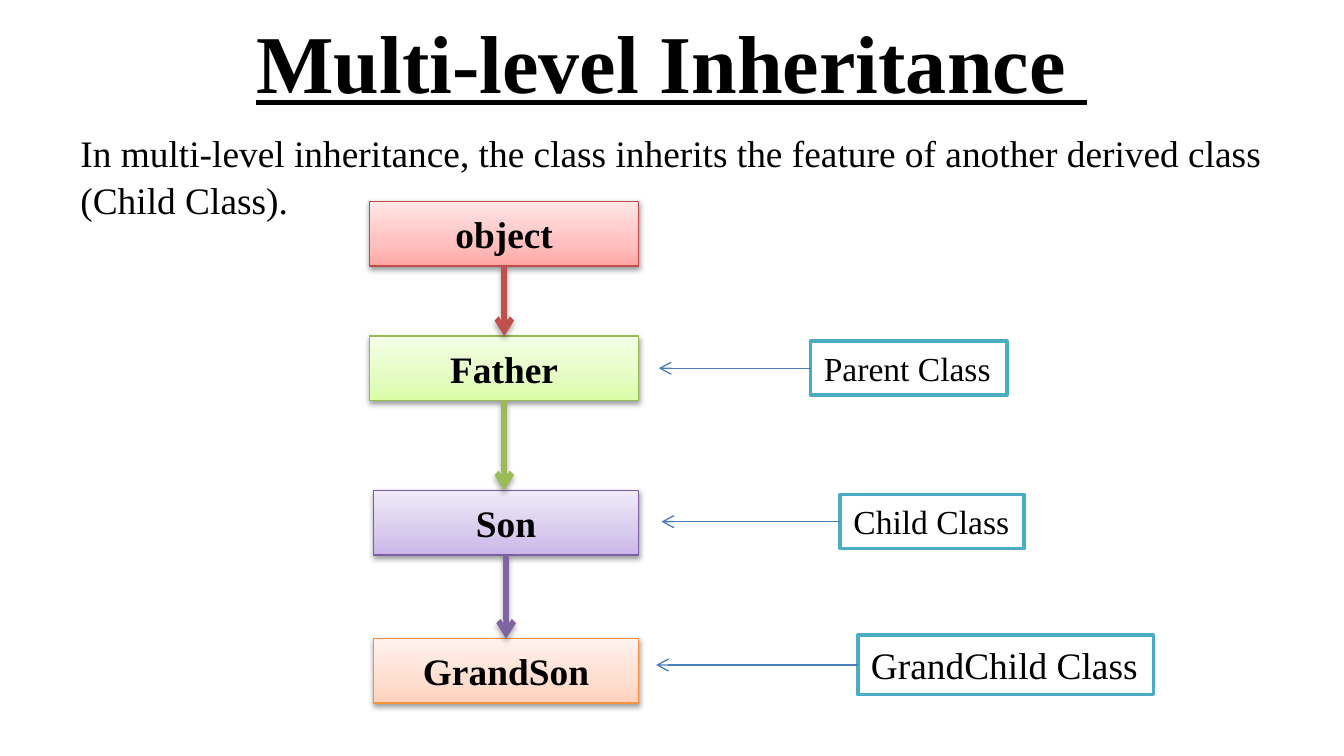
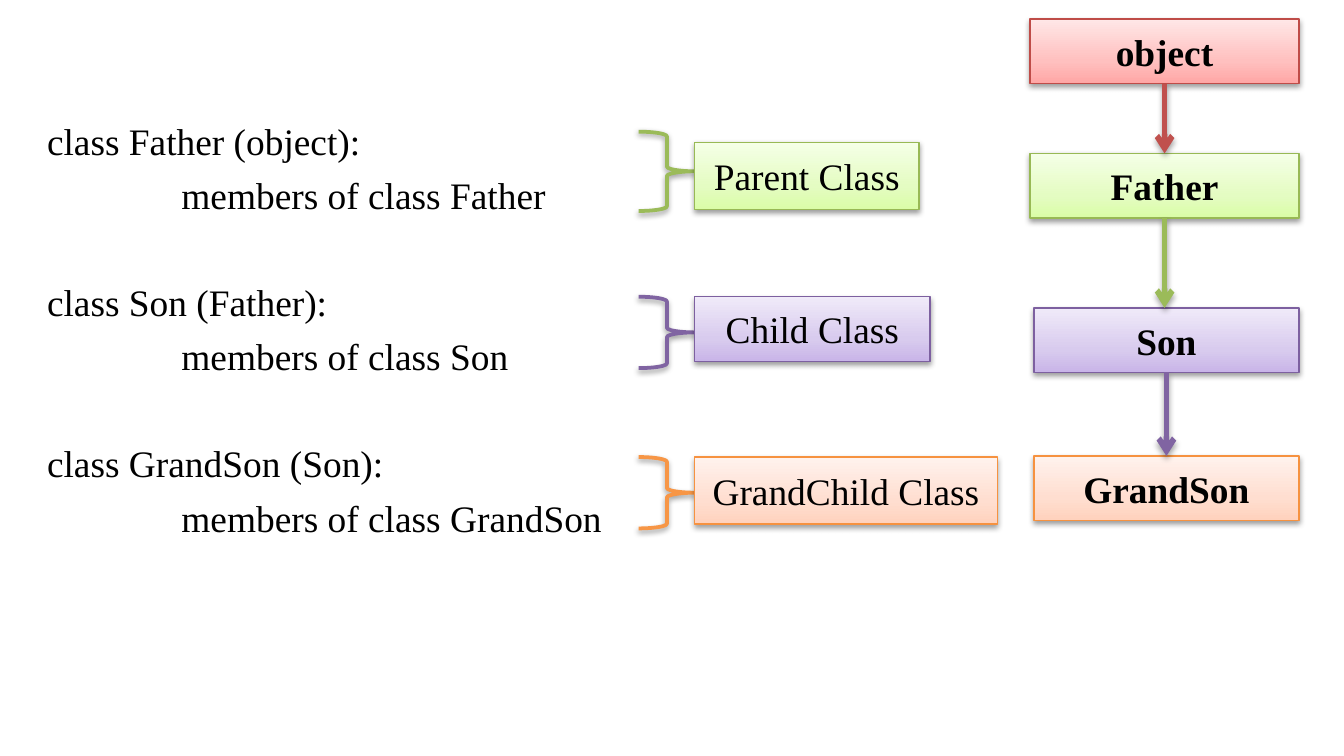
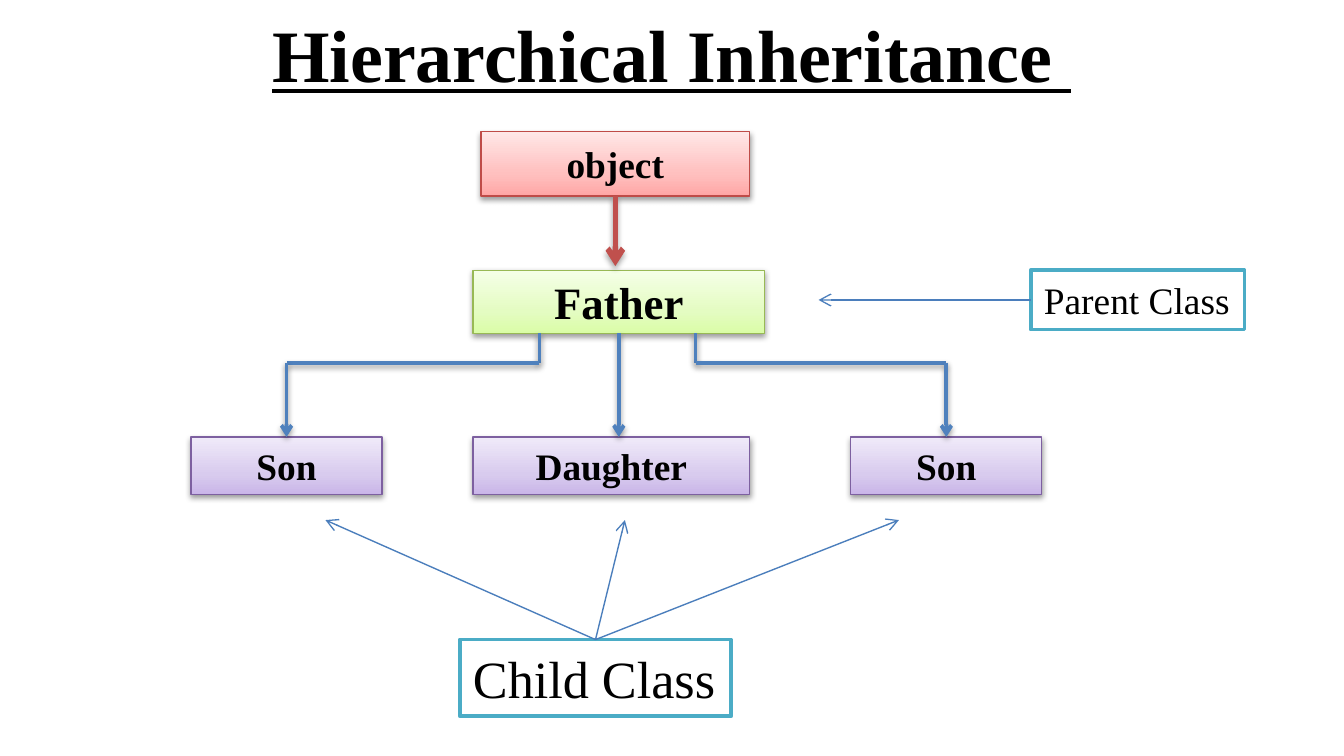
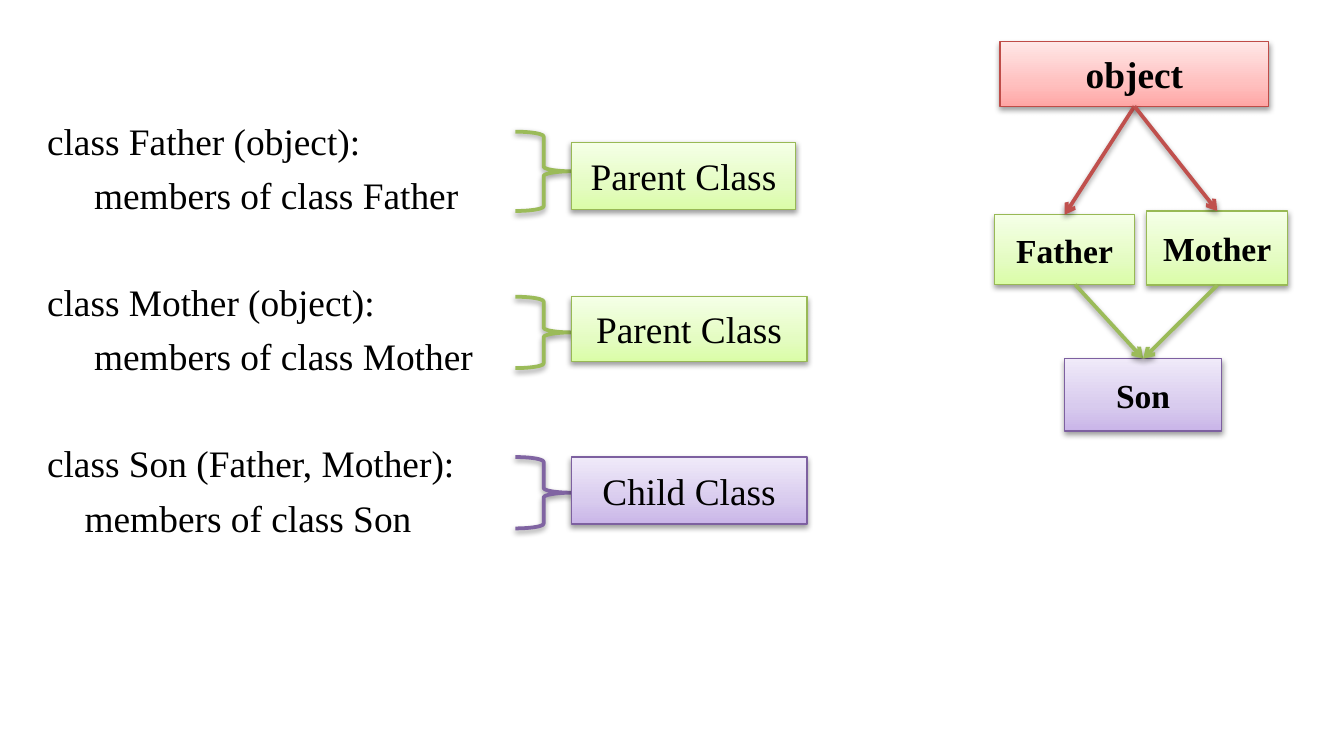
from copy import deepcopy
from dataclasses import dataclass
from typing import NamedTuple

from lxml import etree
from pptx import Presentation
from pptx.dml.color import RGBColor
from pptx.enum.shapes import MSO_CONNECTOR, MSO_SHAPE
from pptx.enum.text import MSO_ANCHOR, MSO_AUTO_SIZE, PP_ALIGN
from pptx.oxml.ns import qn
from pptx.util import Cm, Pt

STRAIGHT = MSO_CONNECTOR.STRAIGHT
RECTANGLE, RIGHT_BRACE = MSO_SHAPE.RECTANGLE, MSO_SHAPE.RIGHT_BRACE
TOP, MIDDLE = MSO_ANCHOR.TOP, MSO_ANCHOR.MIDDLE
NO_FIT, GROW = MSO_AUTO_SIZE.NONE, MSO_AUTO_SIZE.SHAPE_TO_FIT_TEXT
LEFT, CENTER = PP_ALIGN.LEFT, PP_ALIGN.CENTER
TITLE_ONLY, BLANK = 5, 6


class Tone(NamedTuple):
    gradient: tuple
    edge: str
    line: str


@dataclass(frozen=True)
class Theme:
    font: str = "Times New Roman"
    ink: str = "000000"
    paper: str = "FFFFFF"
    callout_edge: str = "4BACC6"
    pointer: str = "4B7EBC"
    branch: str = "4F81BD"
    red: Tone = Tone(("FFA6A5", "FFC0BF", "FFE7E7"), "BF4C48", "C0504D")
    green: Tone = Tone(("DAFDA7", "E4FCC2", "F5FFE7"), "98B955", "9BBB59")
    purple: Tone = Tone(("C9B5E8", "D8CBEE", "F0EAF9"), "7D60A0", "8064A2")
    orange: Tone = Tone(("FFD2BD", "FFDED0", "FFF2ED"), "F69240", "F79646")
    gradient_stops: tuple = (0, 0.35, 1)
    body: float = 20
    small: float = 18
    thin: float = 0.75
    medium: float = 2
    thick: float = 3


THEME = Theme()


class Box(NamedTuple):
    """A rectangle in centimetres."""
    left: float
    top: float
    width: float
    height: float

    @property
    def center(self):
        return self.left + self.width / 2

    @property
    def middle(self):
        return self.top + self.height / 2

    @property
    def bottom(self):
        return self.top + self.height

    @property
    def lengths(self):
        return [Cm(value) for value in self]

    def inner(self, left, top, width, height):
        """Box placed relative to this one's top left corner."""
        return Box(self.left + left, self.top + top, width, height)


def rgb(color):
    return RGBColor.from_string(color)


def style(paragraph, size=THEME.body, bold=False, align=LEFT):
    paragraph.alignment = align
    font = paragraph.font
    font.name, font.size, font.bold = THEME.font, Pt(size), bold
    font.color.rgb = rgb(THEME.ink)


def set_line(line, color, width):
    line.color.rgb = rgb(color)
    line.width = Pt(width)


def add_shadow(item, alpha=38, distance=1.6):
    effects = item._element.spPr.get_or_add_effectLst()
    shadow = etree.SubElement(
        effects, qn("a:outerShdw"), blurRad=str(Pt(3.1)),
        dist=str(Pt(distance)), dir="5400000", rotWithShape="0")
    black = etree.SubElement(shadow, qn("a:srgbClr"), val=THEME.ink)
    etree.SubElement(black, qn("a:alpha"), val=str(alpha * 1000))


def fill_gradient(shape, colors):
    shape.fill.gradient()
    shape.fill.gradient_angle = 90
    stop_list = shape._element.spPr.find(".//" + qn("a:gsLst"))
    stop_list.append(deepcopy(stop_list[-1]))
    stops = zip(shape.fill.gradient_stops, THEME.gradient_stops, colors)
    for stop, position, color in stops:
        stop.position = position
        stop.color.rgb = rgb(color)


def add_node(slide, box, text, tone, size=THEME.body, bold=True):
    node = slide.shapes.add_shape(RECTANGLE, *box.lengths)
    node.shadow.inherit = False
    fill_gradient(node, tone.gradient)
    set_line(node.line, tone.edge, THEME.thin)
    add_shadow(node)
    frame = node.text_frame
    frame.text = text
    frame.word_wrap = True
    frame.vertical_anchor = MIDDLE
    style(frame.paragraphs[0], size, bold, CENTER)


def add_route(slide, points, color, width):
    """Straight segments through the points, with an arrowhead at the last."""
    for start, end in zip(points, points[1:]):
        segment = slide.shapes.add_connector(
            STRAIGHT, *[Cm(value) for value in (*start, *end)])
        set_line(segment.line, color, width)
        if width == THEME.thin:
            segment._element.spPr.get_or_add_effectLst()
        elif width == THEME.thick:
            add_shadow(segment, 35, 1.8)
        else:
            add_shadow(segment)
    etree.SubElement(segment.get_or_add_ln(), qn("a:tailEnd"), type="arrow")


def add_callout(slide, box, text, size, start, targets):
    """Outlined label with a thin arrow from start to each target."""
    label = slide.shapes.add_shape(RECTANGLE, *box.lengths)
    label.shadow.inherit = False
    label.fill.solid()
    label.fill.fore_color.rgb = rgb(THEME.paper)
    set_line(label.line, THEME.callout_edge, THEME.medium)
    frame = label.text_frame
    frame.text = text
    frame.word_wrap = False
    frame.auto_size = GROW
    frame.vertical_anchor = TOP
    style(frame.paragraphs[0], size)
    for target in targets:
        add_route(slide, [start, target], THEME.pointer, THEME.thin)


def add_side_callout(slide, box, text, size, tip):
    add_callout(slide, box, text, size, (box.left, box.middle),
                [(tip, box.middle)])


def add_title_slide(deck, text, box, size):
    slide = deck.slides.add_slide(deck.slide_layouts[TITLE_ONLY])
    title = slide.shapes.title
    title.left, title.top, title.width, title.height = box.lengths
    frame = title.text_frame
    frame.text = text
    frame.auto_size = NO_FIT
    frame.vertical_anchor = MIDDLE
    style(frame.paragraphs[0], size, True, CENTER)
    frame.paragraphs[0].font.underline = True
    return slide


def add_lines(slide, box, lines):
    """Text of (words, indent in cm, space before in points) lines."""
    frame = slide.shapes.add_textbox(*box.lengths).text_frame
    frame.word_wrap = True
    for index, (words, indent, gap) in enumerate(lines):
        paragraph = frame.add_paragraph() if index else frame.paragraphs[0]
        paragraph.text = words
        paragraph.line_spacing = 1.05
        paragraph.space_before = Pt(gap)
        paragraph._p.get_or_add_pPr().set("marL", str(Cm(indent)))
        style(paragraph)


def add_family_chain(slide, area):
    levels = [
        ("object", THEME.red, 0, 0),
        ("Father", THEME.green, 2.54, 0),
        ("Son", THEME.purple, 5.46, 0.07),
        ("GrandSon", THEME.orange, 8.26, 0.07),
    ]
    boxes = [area.inner(inset, top, area.width - inset, 1.22)
             for _, _, top, inset in levels]
    for (name, tone, _, _), box in zip(levels, boxes):
        add_node(slide, box, name, tone)
    for (_, tone, _, _), upper, lower in zip(levels, boxes, boxes[1:]):
        add_route(slide, [(upper.center, upper.bottom),
                          (upper.center, lower.top)], tone.line, THEME.thick)


def add_family_diamond(slide, area):
    root = area.inner(0.1, 0, 5.08, 1.22)
    father = area.inner(0, 3.27, 2.64, 1.32)
    mother = area.inner(2.87, 3.2, 2.67, 1.4)
    son = area.inner(1.32, 5.99, 2.97, 1.37)
    add_node(slide, root, "object", THEME.red)
    add_node(slide, father, "Father", THEME.green, THEME.small)
    add_node(slide, mother, "Mother", THEME.green, THEME.small)
    add_node(slide, son, "Son", THEME.purple, THEME.small)
    for parent, exit_shift in ((father, 0.2), (mother, 0)):
        add_route(slide, [(root.center, root.bottom),
                          (parent.center, parent.top)],
                  THEME.red.line, THEME.medium)
        add_route(slide, [(parent.center + exit_shift, parent.bottom),
                          (son.center, son.top)],
                  THEME.green.line, THEME.medium)


def add_class_listing(slide, area, brace_left, classes):
    """Class outlines, each with a brace and a label of its role."""
    lines = []
    for index, (header, members, indent, *_) in enumerate(classes):
        lines += [(header, 0, 32 if index else 0), (members, indent, 4)]
    add_lines(slide, area, lines)

    rows = [(0.43, 1.5, 0.63, 1.27),
            (3.55, 1.35, 3.55, 1.22),
            (6.58, 1.35, 6.58, 1.27)]
    for row, (_, _, _, role, tone, width) in zip(rows, classes):
        brace_top, brace_height, label_top, label_height = row
        brace_box = area.inner(brace_left, brace_top, 1.07, brace_height)
        brace = slide.shapes.add_shape(RIGHT_BRACE, *brace_box.lengths)
        brace.shadow.inherit = False
        brace.fill.background()
        set_line(brace.line, tone.line, THEME.medium)
        add_shadow(brace)
        label_box = area.inner(brace_left + 1.06, label_top,
                               width, label_height)
        add_node(slide, label_box, role, tone, bold=False)


def add_family_branches(slide, area):
    root = area.inner(5.48, 0, 5.08, 1.22)
    father = area.inner(5.33, 2.62, 5.51, 1.19)
    children = [("Son", area.inner(0, 5.77, 3.61, 1.09)),
                ("Daughter", area.inner(5.33, 5.77, 5.23, 1.09)),
                ("Son", area.inner(12.47, 5.77, 3.61, 1.09))]
    add_node(slide, father, "Father", THEME.green, 24)
    for name, box in children:
        add_node(slide, box, name, THEME.purple)

    first, middle, last = [box for _, box in children]
    add_route(slide, [(father.center, father.bottom),
                      (father.center, middle.top)],
              THEME.branch, THEME.medium)
    bend = father.bottom + 0.56
    for child, shift in ((first, -1.5), (last, 1.45)):
        start = father.center + shift
        add_route(slide, [(start, father.bottom), (start, bend),
                          (child.center, bend), (child.center, child.top)],
                  THEME.branch, THEME.medium)

    add_node(slide, root, "object", THEME.red)
    add_route(slide, [(root.center, root.bottom),
                      (root.center, father.top - 0.08)],
              THEME.red.line, THEME.thick)


def build_multilevel(deck):
    slide = add_title_slide(deck, "Multi-level Inheritance ",
                            Box(1.27, -0.05, 22.86, 2.39), 44)
    add_lines(slide, Box(1.27, 2.29, 22.86, 2.34), [
        ("In multi-level inheritance, the class inherits the feature of "
         "another derived class (Child Class).", 0, 0)])
    add_family_chain(slide, Box(6.99, 3.81, 5.08, 9.48))
    add_side_callout(slide, Box(15.32, 6.45, 3.71, 1.02),
                     "Parent Class", THEME.small, 12.45)
    add_side_callout(slide, Box(15.88, 9.35, 3.48, 1.02),
                     "Child Class", THEME.small, 12.5)
    add_side_callout(slide, Box(16.21, 12.01, 5.59, 1.12),
                     "GrandChild Class", THEME.body, 12.4)


def build_multilevel_code(deck, listing):
    slide = deck.slides.add_slide(deck.slide_layouts[BLANK])
    add_class_listing(slide, listing, 11.43, [
        ("class Father (object):", "members of class Father", 2.54,
         "Parent Class", THEME.green, 4.24),
        ("class Son (Father):", "members of class Son", 2.54,
         "Child Class", THEME.purple, 4.45),
        ("class GrandSon (Son):", "members of class GrandSon", 2.54,
         "GrandChild Class", THEME.orange, 5.72),
    ])
    add_family_chain(slide, Box(19.47, 0.36, 5.08, 9.48))


def build_hierarchical(deck):
    slide = add_title_slide(deck, "Hierarchical Inheritance ",
                            Box(1.27, 0, 22.86, 2.01), 39.6)
    add_family_branches(slide, Box(3.61, 2.49, 16.08, 6.86))
    add_side_callout(slide, Box(19.48, 5.11, 4.04, 1.12),
                     "Parent Class", THEME.body, 15.47)
    children_label = Box(8.69, 12.09, 5.13, 1.45)
    add_callout(slide, children_label, "Child Class", 28,
                (children_label.center, children_label.top),
                [(x, 9.83) for x in (6.15, 16.99, 11.81)])


def build_multiple_code(deck, listing):
    slide = deck.slides.add_slide(deck.slide_layouts[BLANK])
    add_class_listing(slide, listing, 9.1, [
        ("class Father (object):", "members of class Father", 0.89,
         "Parent Class", THEME.green, 4.24),
        ("class Mother (object):", "members of class Mother", 0.89,
         "Parent Class", THEME.green, 4.45),
        ("class Son (Father, Mother):", "members of class Son", 0.71,
         "Child Class", THEME.purple, 4.45),
    ])
    add_family_diamond(slide, Box(18.8, 0.79, 5.54, 7.36))


def main():
    deck = Presentation()
    deck.slide_width, deck.slide_height = Cm(25.4), Cm(14.29)
    listing = Box(0.64, 2.06, 11.43, 9.53)
    build_multilevel(deck)
    build_multilevel_code(deck, listing)
    build_hierarchical(deck)
    build_multiple_code(deck, listing)
    deck.save("out.pptx")


if __name__ == "__main__":
    main()
